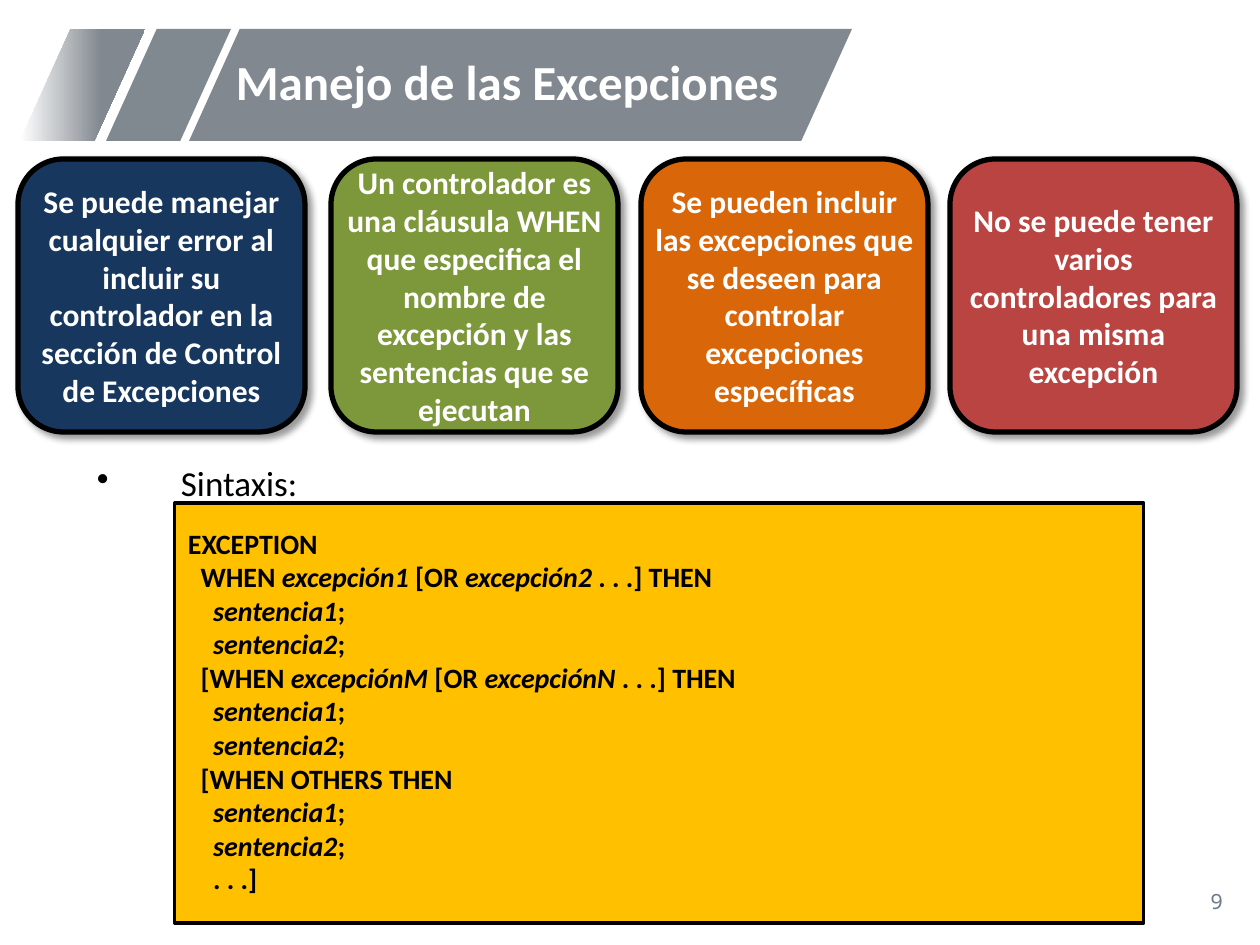
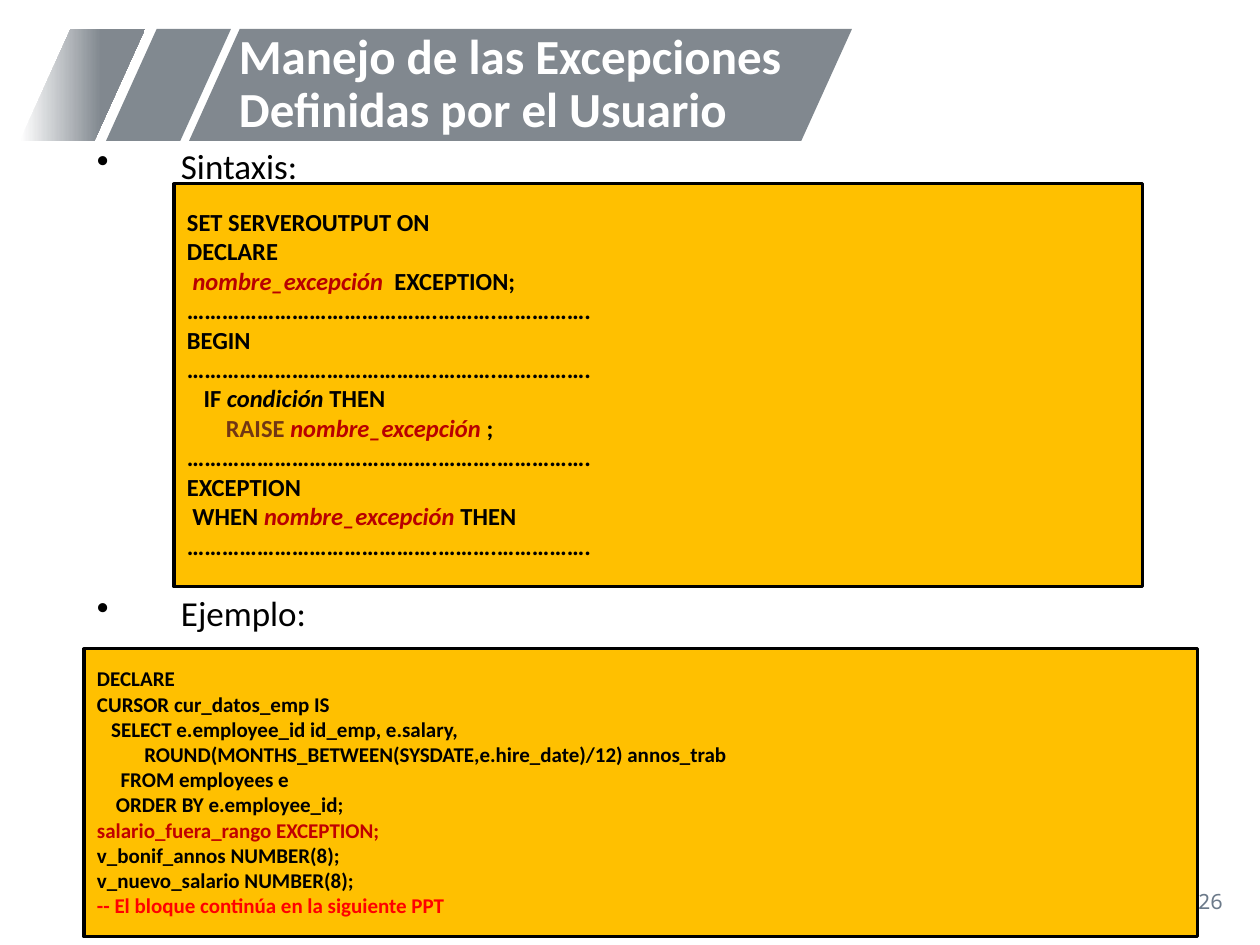
from collections import namedtuple

import pptx
import pptx.dml.color
import pptx.enum.shapes
import pptx.enum.text
import pptx.oxml
import pptx.oxml.ns
import pptx.util

RGBColor = pptx.dml.color.RGBColor
SHAPE = pptx.enum.shapes.MSO_SHAPE
ALIGN = pptx.enum.text.PP_ALIGN
ANCHOR = pptx.enum.text.MSO_ANCHOR

PX_PER_INCH = 126
FONT = "Calibri"
NUMBER_FONT = "Noto Sans Mono"

WHITE = RGBColor(0xFF, 0xFF, 0xFF)
BLACK = RGBColor(0x00, 0x00, 0x00)
BAND = RGBColor(0x81, 0x88, 0x8F)
BAND_MIDDLE = RGBColor(0x81, 0x89, 0x90)
NUMBER_GREY = RGBColor(0x6C, 0x7A, 0x8A)
NAVY = RGBColor(0x17, 0x37, 0x5E)
GREEN = RGBColor(0x7D, 0x98, 0x3A)
ORANGE = RGBColor(0xD9, 0x67, 0x09)
RED = RGBColor(0xB9, 0x44, 0x41)
CODE_YELLOW = RGBColor(0xFF, 0xC0, 0x00)
NAME_RED = RGBColor(0xB8, 0x00, 0x00)
RAISE_BROWN = RGBColor(0x72, 0x37, 0x14)
DECLARATION_RED = RGBColor(0xC0, 0x00, 0x00)
COMMENT_RED = RGBColor(0xFF, 0x00, 0x00)

Run = namedtuple("Run", "text color italic", defaults=(BLACK, False))

CARDS = [
    (18, NAVY, "Se puede manejar cualquier error al incluir su controlador "
               "en la sección de Control de Excepciones"),
    (331, GREEN, "Un controlador es una cláusula WHEN que especifica el nombre "
                 "de excepción y las sentencias que se ejecutan"),
    (641, ORANGE, "Se pueden incluir las excepciones que se deseen para "
                  "controlar excepciones específicas"),
    (950, RED, "No se puede tener varios controladores para una misma excepción"),
]


def variable(text):
    return Run(text, italic=True)


EXCEPTION_NAME = Run("nombre_excepción", NAME_RED, True)
DOTS = [Run("…………………………………….……….…………….")]
STATEMENTS = [[variable(f"    sentencia{n}"), Run(";")] for n in (1, 2)]


def when(prefix, first, second):
    return [Run(prefix), variable(first), Run(" [OR "), variable(second),
            Run(" . . .] THEN")]


HANDLER_SYNTAX = [
    [Run("EXCEPTION")],
    when("  WHEN ", "excepción1", "excepción2"),
    *STATEMENTS,
    when("  [WHEN ", "excepciónM", "excepciónN"),
    *STATEMENTS,
    [Run("  [WHEN OTHERS THEN")],
    *STATEMENTS,
    [Run("    . . .]")],
]

USER_SYNTAX = [
    [Run("SET SERVEROUTPUT ON")],
    [Run("DECLARE")],
    [Run(" "), EXCEPTION_NAME, Run("  EXCEPTION;")],
    DOTS,
    [Run("BEGIN")],
    DOTS,
    [Run("   IF "), variable("condición"), Run(" THEN")],
    [Run("       "), Run("RAISE ", RAISE_BROWN), EXCEPTION_NAME, Run(" ;")],
    DOTS,
    [Run("EXCEPTION")],
    [Run(" WHEN "), EXCEPTION_NAME, Run(" THEN")],
    DOTS,
]

USER_EXAMPLE = [
    [Run("DECLARE")],
    [Run("CURSOR cur_datos_emp IS")],
    [Run("   SELECT e.employee_id id_emp, e.salary,")],
    [Run("          ROUND(MONTHS_BETWEEN(SYSDATE,e.hire_date)/12) annos_trab")],
    [Run("     FROM employees e")],
    [Run("    ORDER BY e.employee_id;")],
    [Run("salario_fuera_rango EXCEPTION;", DECLARATION_RED)],
    [Run("v_bonif_annos NUMBER(8);")],
    [Run("v_nuevo_salario NUMBER(8);")],
    [Run("-- El bloque continúa en la siguiente PPT", COMMENT_RED)],
]


def px(n):
    return round(n * 914400 / PX_PER_INCH)


def set_frame(shape, anchor, side=13, top=6, bottom=6):
    tf = shape.text_frame
    tf.word_wrap = True
    tf.vertical_anchor = anchor
    tf.margin_left = tf.margin_right = px(side)
    tf.margin_top, tf.margin_bottom = px(top), px(bottom)
    return tf


def add_run(p, run, size, bold=False, font=FONT):
    r = p.add_run()
    r.text = run.text
    r.font.name = font
    r.font.size = pptx.util.Pt(size)
    r.font.bold = bold
    r.font.italic = run.italic
    r.font.color.rgb = run.color


def add_box(s, kind, box, fill, line_width=None):
    sp = s.shapes.add_shape(kind, *map(px, box))
    sp.shadow.inherit = False
    if fill is not None:
        sp.fill.solid()
        sp.fill.fore_color.rgb = fill
    if line_width:
        sp.line.color.rgb = BLACK
        sp.line.width = pptx.util.Pt(line_width)
    else:
        sp.line.fill.background()
    return sp


def add_band(s, left, width, fill=None):
    """Slanted band piece; without a fill colour it fades in from white."""
    sp = add_box(s, SHAPE.PARALLELOGRAM, (left, 29, width, 112), fill)
    sp.adjustments[0] = 0.453
    if fill is None:
        sp.fill.gradient()
        sp.fill.gradient_angle = 0
        start, end = sp.fill.gradient_stops
        start.color.rgb, start.position = WHITE, 0
        end.color.rgb, end.position = BAND, 0.65


def add_title(s, left, text):
    sp = s.shapes.add_textbox(*map(px, (left, 29, 591, 112)))
    p = set_frame(sp, ANCHOR.MIDDLE).paragraphs[0]
    p.line_spacing = 0.9
    add_run(p, Run(text, WHITE), 28, bold=True)


def add_number(s, number):
    sp = s.shapes.add_textbox(*map(px, (953, 876, 283, 50)))
    p = set_frame(sp, ANCHOR.MIDDLE).paragraphs[0]
    p.alignment = ALIGN.RIGHT
    add_run(p, Run(str(number), NUMBER_GREY), 12, font=NUMBER_FONT)


def add_shadow(sp):
    effects = sp._element.spPr.find(pptx.oxml.ns.qn("a:effectLst"))
    effects.append(pptx.oxml.parse_xml(
        f'<a:outerShdw {pptx.oxml.ns.nsdecls("a")} blurRad="50800" dist="38100" '
        'dir="2700000" algn="tl" rotWithShape="0"><a:srgbClr val="000000">'
        '<a:alpha val="40000"/></a:srgbClr></a:outerShdw>'))


def add_card(s, left, fill, text):
    sp = add_box(s, SHAPE.ROUNDED_RECTANGLE, (left, 159, 287, 273), fill, 3)
    add_shadow(sp)
    p = set_frame(sp, ANCHOR.MIDDLE, 0, 0, 0).paragraphs[0]
    p.alignment = ALIGN.CENTER
    add_run(p, Run(text, WHITE), 18, bold=True)


def add_bullet(s, top, text):
    sp = s.shapes.add_textbox(*map(px, (84, top, 1081, 57)))
    p = set_frame(sp, ANCHOR.TOP).paragraphs[0]
    pPr = p._p.get_or_add_pPr()
    pPr.set("marL", str(px(84)))
    pPr.set("indent", str(-px(84)))
    pPr.append(pptx.oxml.parse_xml(
        f'<a:buChar {pptx.oxml.ns.nsdecls("a")} char="•"/>'))
    p.alignment = ALIGN.JUSTIFY
    p.line_spacing = 0.8
    add_run(p, Run(text), 20)


def add_code(s, box, lines, size, top=23):
    sp = add_box(s, SHAPE.RECTANGLE, box, CODE_YELLOW, 1.75)
    tf = set_frame(sp, ANCHOR.TOP, top=top, bottom=0)
    for i, line in enumerate(lines):
        p = tf.add_paragraph() if i else tf.paragraphs[0]
        p.alignment = ALIGN.LEFT
        for run in line:
            add_run(p, run, size, bold=True)


def add_slide(prs, number, title, title_left):
    """Blank slide with the shared title band and page number."""
    s = prs.slides.add_slide(prs.slide_layouts[6])
    add_band(s, 189, 663, BAND)
    add_band(s, 106, 125, BAND_MIDDLE)
    add_band(s, 20, 125)
    add_number(s, number)
    add_title(s, title_left, title)
    return s


def main():
    prs = pptx.Presentation()
    prs.slide_width, prs.slide_height = px(1260), px(945)

    s = add_slide(prs, 9, "Manejo de las Excepciones", 223)
    for card in CARDS:
        add_card(s, *card)
    add_bullet(s, 464, "Sintaxis:")
    add_code(s, (175, 503, 969, 420), HANDLER_SYNTAX, 16)

    s = add_slide(prs, 26, "Manejo de las Excepciones Definidas por el Usuario", 226)
    add_bullet(s, 147, "Sintaxis:")
    add_bullet(s, 594, "Ejemplo:")
    add_code(s, (174, 184, 969, 403), USER_SYNTAX, 14)
    add_code(s, (84, 649, 1114, 288), USER_EXAMPLE, 12, top=17)

    prs.save("out.pptx")


if __name__ == "__main__":
    main()
